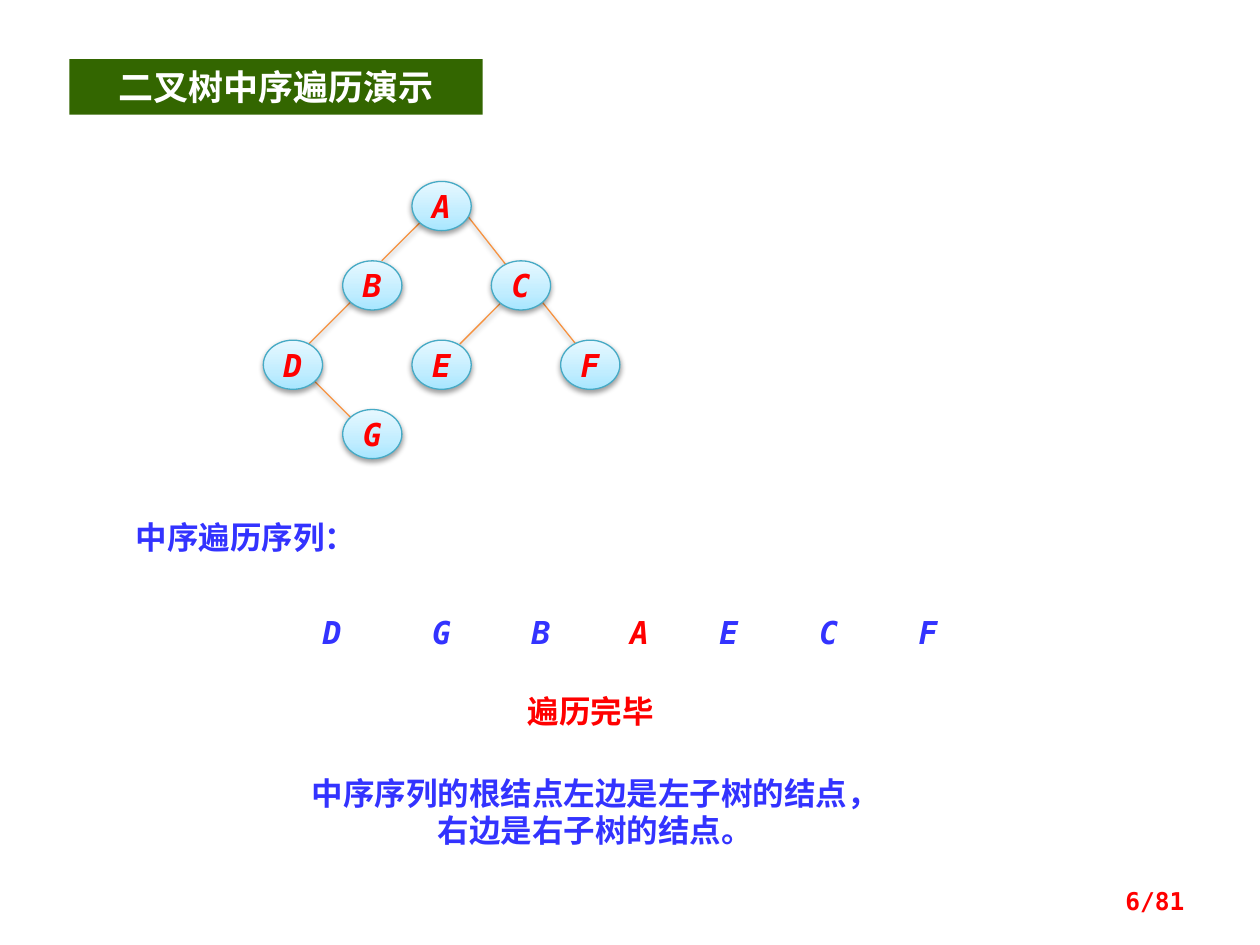
"""Build the slide that demonstrates in-order traversal of a binary tree."""
from lxml.etree import SubElement
from pptx import Presentation
from pptx.dml.color import RGBColor
from pptx.enum.shapes import MSO_CONNECTOR, MSO_SHAPE
from pptx.enum.text import MSO_ANCHOR, MSO_AUTO_SIZE, PP_ALIGN
from pptx.oxml import parse_xml
from pptx.oxml.ns import nsdecls, qn
from pptx.util import Inches, Pt

MONO = "DejaVu Sans Mono"
BLUE, RED = "3333FF", "FF0000"
rgb = RGBColor.from_string


def write(shape, lines, colour, size=18, font=MONO, align=PP_ALIGN.CENTER,
          italic=False, anchor=MSO_ANCHOR.TOP, wrap=True, fit=MSO_AUTO_SIZE.SHAPE_TO_FIT_TEXT):
    frame = shape.text_frame
    frame.word_wrap = wrap
    frame.auto_size = fit
    frame.vertical_anchor = anchor
    for index, line in enumerate(lines):
        paragraph = frame.add_paragraph() if index else frame.paragraphs[0]
        paragraph.alignment = align
        run = paragraph.add_run()
        run.text = line
        run.font.size = Pt(size)
        run.font.bold = True
        run.font.italic = italic
        run.font.color.rgb = rgb(colour)
        run.font.name = font
        SubElement(run.font._element, qn("a:ea"), typeface=font)


def add_shadow(shape):
    shape._element.spPr.append(parse_xml(
        f'<a:effectLst {nsdecls("a")}><a:outerShdw blurRad="40000" dist="20000" dir="5400000"'
        ' rotWithShape="0"><a:srgbClr val="000000"><a:alpha val="38000"/></a:srgbClr>'
        '</a:outerShdw></a:effectLst>'))


presentation = Presentation()
presentation.slide_width, presentation.slide_height = Inches(10), Inches(7.5)
shapes = presentation.slides.add_slide(presentation.slide_layouts[6]).shapes

branches = [
    (2.48, 3.01, 2.8, 3.33), (3.35, 1.75, 3.03, 2.07), (3.7, 1.7, 4.03, 2.12),
    (2.8, 2.38, 2.4, 2.78), (3.97, 2.41, 3.65, 2.73), (4.29, 2.38, 4.61, 2.78),
]
for ends in branches:
    branch = shapes.add_connector(MSO_CONNECTOR.STRAIGHT, *map(Inches, ends))
    branch.line.color.rgb = rgb("F69240")
    branch.line.width = Pt(0.75)
    add_shadow(branch)

nodes = {"A": (3.27, 1.44), "B": (2.72, 2.07), "C": (3.9, 2.07), "D": (2.09, 2.7),
         "E": (3.27, 2.7), "F": (4.45, 2.7), "G": (2.72, 3.25)}
gradient_stops = "".join(
    f'<a:gs pos="{position}000"><a:srgbClr val="{colour}"/></a:gs>'
    for position, colour in [(0, "A7E6FF"), (35, "C1EDFF"), (100, "E7F8FF")])
for letter, (left, top) in nodes.items():
    node = shapes.add_shape(MSO_SHAPE.OVAL, Inches(left), Inches(top), Inches(0.47), Inches(0.39))
    node._element.spPr.append(parse_xml(
        f'<a:gradFill {nsdecls("a")} rotWithShape="1"><a:gsLst>{gradient_stops}</a:gsLst>'
        '<a:lin ang="16200000" scaled="0"/></a:gradFill>'))
    node.line.color.rgb = rgb("46AAC5")
    node.line.width = Pt(0.75)
    add_shadow(node)
    write(node, [letter], RED, italic=True, anchor=MSO_ANCHOR.MIDDLE, wrap=False,
          fit=MSO_AUTO_SIZE.NONE)

sequence_label = shapes.add_textbox(Inches(0.98), Inches(4.06), Inches(2.84), Inches(0.4))
write(sequence_label, ["中序遍历序列："], BLUE, align=PP_ALIGN.LEFT)

for letter, left in zip("DGBAECF", [2.24, 3.11, 3.9, 4.68, 5.39, 6.18, 6.97]):
    visited = shapes.add_textbox(Inches(left), Inches(4.82), Inches(0.79), Inches(0.4))
    write(visited, [letter], RED if letter == "A" else BLUE, italic=True)

finished = shapes.add_textbox(Inches(3.35), Inches(5.44), Inches(2.68), Inches(0.4))
write(finished, ["遍历完毕"], RED)

title = shapes.add_shape(MSO_SHAPE.RECTANGLE, Inches(0.55), Inches(0.47), Inches(3.28), Inches(0.44))
title.shadow.inherit = False
title.fill.solid()
title.fill.fore_color.rgb = rgb("336600")
title.line.fill.background()
write(title, ["二叉树中序遍历演示"], "FFFFFF", size=20, font="Noto Sans CJK SC")

conclusion = shapes.add_textbox(Inches(2.03), Inches(6.09), Inches(5.39), Inches(0.71))
write(conclusion, ["中序序列的根结点左边是左子树的结点，", "右边是右子树的结点。"], BLUE,
      font="Noto Sans CJK JP")

page_number = shapes.add_textbox(Inches(7.17), Inches(6.95), Inches(2.33), Inches(0.4))
write(page_number, ["6/81"], RED, size=14, align=PP_ALIGN.RIGHT, anchor=MSO_ANCHOR.MIDDLE,
      fit=MSO_AUTO_SIZE.NONE)

presentation.save("out.pptx")
